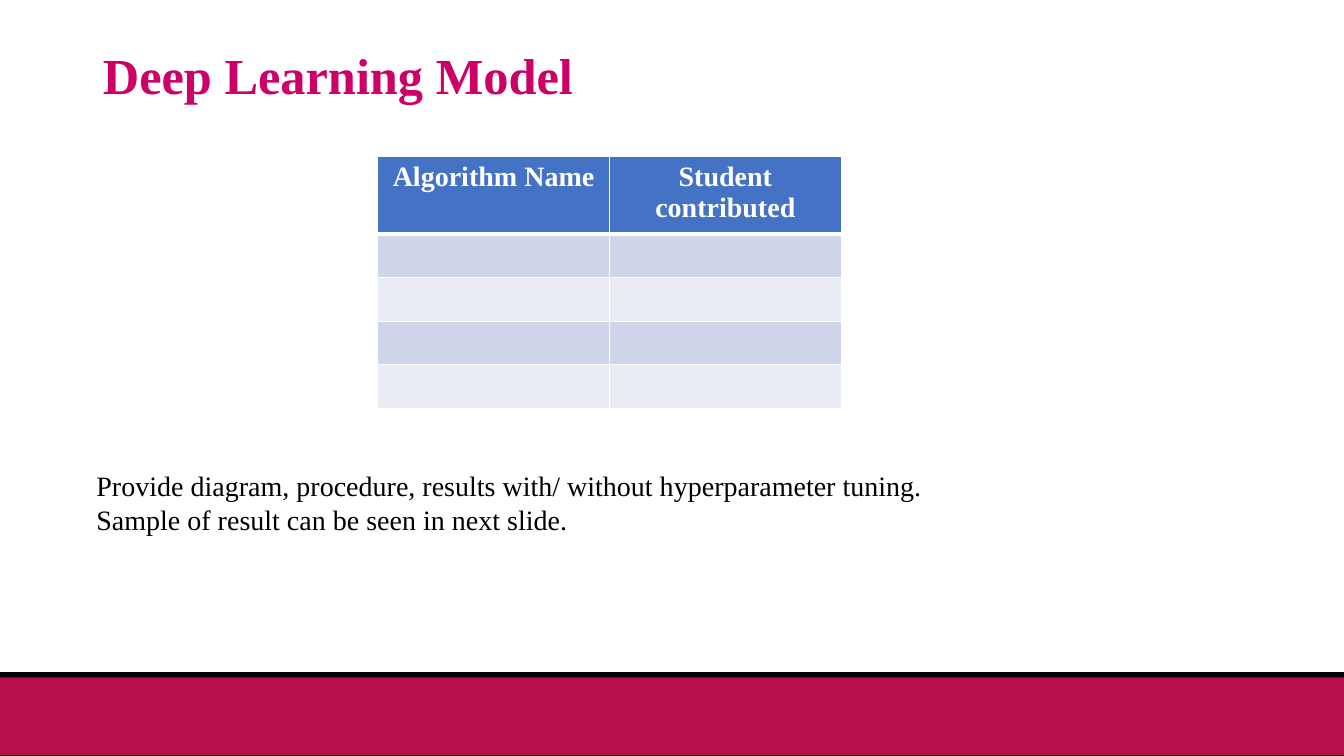
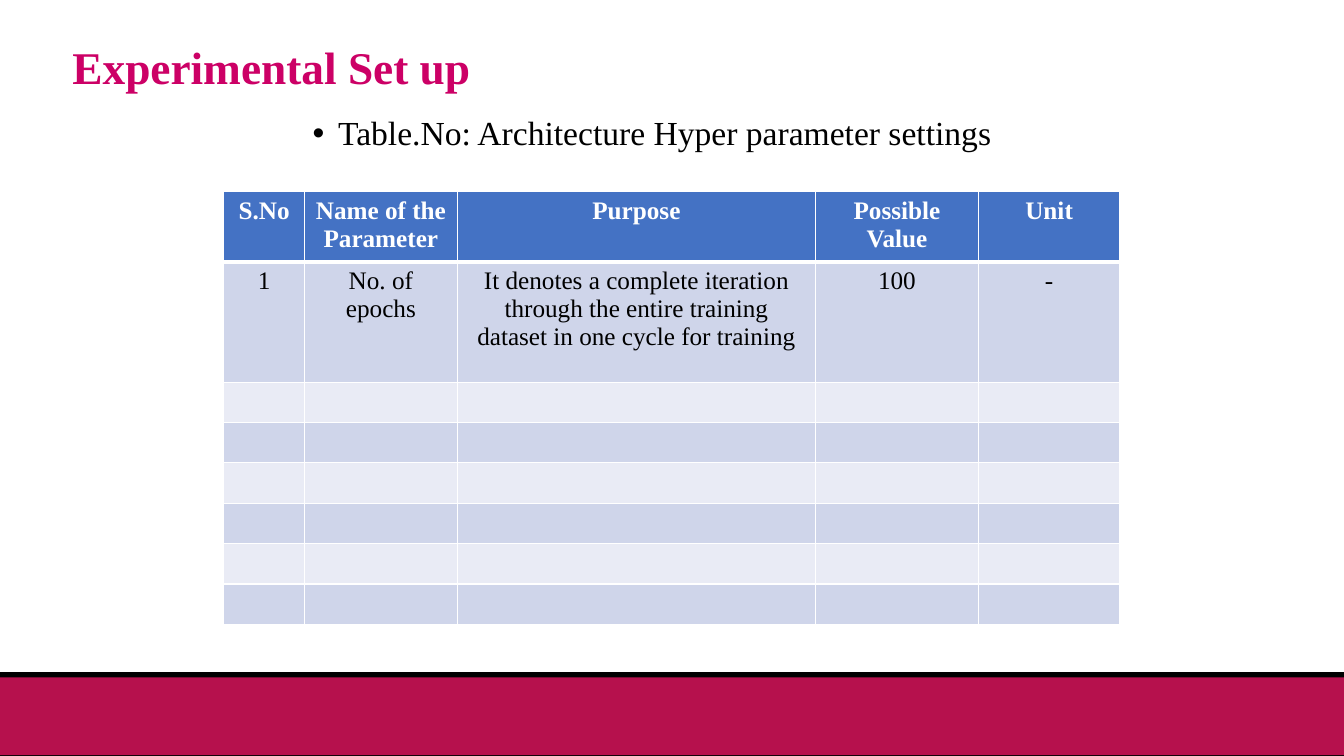
from lxml.etree import SubElement
from pptx import Presentation
from pptx.dml.color import RGBColor
from pptx.enum.shapes import MSO_SHAPE
from pptx.enum.text import MSO_ANCHOR, MSO_AUTO_SIZE, PP_ALIGN
from pptx.oxml.ns import qn
from pptx.util import Cm, Pt

# Shared look
FONT = "Times New Roman"
BLACK = RGBColor(0x00, 0x00, 0x00)
WHITE = RGBColor(0xFF, 0xFF, 0xFF)
MAGENTA = RGBColor(0xCC, 0x00, 0x66)
CRIMSON = RGBColor(0xB6, 0x11, 0x4D)
HEADER_BLUE = RGBColor(0x44, 0x72, 0xC4)
ROW_TINTS = (RGBColor(0xCF, 0xD5, 0xEA), RGBColor(0xE9, 0xEB, 0xF5))
SLIDE_W, SLIDE_H = 33.87, 19.05
FOOTER_BANDS = [(16.94, 2.11, BLACK), (17.07, 1.96, CRIMSON)]  # top, height, colour

# Content; all lengths in cm
SLIDES = [
    {
        "title": ("Deep Learning Model", 36, (2.34, 1.02, 29.21, 1.88)),
        "table": {
            "left": 9.52, "top": 3.94, "size": 20,
            "columns": [("Algorithm Name", 5.84), ("Student contributed", 5.84)],
            "header_height": 1.81,
            "rows": [([], 1.04)] * 4,
        },
        "text": {
            "lines": ["Provide diagram, procedure, results with/ without hyperparameter tuning.",
                      "Sample of result can be seen in next slide."],
            "size": 20, "box": (2.18, 11.68, 22, 1.96), "bullet": False,
        },
    },
    {
        "title": ("Experimental Set up", 32.4, (1.57, 0.97, 29.21, 1.6)),
        "table": {
            "left": 5.64, "top": 4.83, "size": 18,
            "columns": [("S.No", 2.03), ("Name of the Parameter", 3.86), ("Purpose", 9.02),
                        ("Possible Value", 4.11), ("Unit", 3.56)],
            "header_height": 1.66,
            "rows": [(["1", "No. of epochs",
                       "It denotes a complete iteration through the entire training "
                       "dataset in one cycle for training", "100", "-"], 3.02)]
                    + [([], 0.96)] * 6,
        },
        "text": {
            "lines": ["Table.No: Architecture Hyper parameter settings"],
            "size": 24, "box": (1.83, 2.82, 29.21, 1.3), "bullet": True,
        },
    },
]


def format_font(font, size, color, bold=False):
    for name, value in {"name": FONT, "size": Pt(size), "bold": bold}.items():
        setattr(font, name, value)
    font.color.rgb = color


def add_footer(slide):
    for top, height, color in FOOTER_BANDS:
        band = slide.shapes.add_shape(MSO_SHAPE.RECTANGLE, 0, Cm(top), Cm(SLIDE_W), Cm(height))
        band.shadow.inherit = False
        band.fill.solid()
        band.fill.fore_color.rgb = color
        band.line.fill.background()


def set_title(slide, text, size, box):
    title = slide.shapes.title
    for name, value in zip(("left", "top", "width", "height"), box):
        setattr(title, name, Cm(value))
    frame = title.text_frame
    frame.text = text
    frame.auto_size = MSO_AUTO_SIZE.NONE
    frame.vertical_anchor = MSO_ANCHOR.MIDDLE
    paragraph = frame.paragraphs[0]
    paragraph.alignment = PP_ALIGN.LEFT
    paragraph.line_spacing = 0.9
    format_font(paragraph.runs[0].font, size, MAGENTA, bold=True)


def add_text(slide, lines, size, box, bullet):
    frame = slide.shapes.add_textbox(*map(Cm, box)).text_frame
    frame.word_wrap = True
    frame.text = "\n".join(lines)
    for paragraph in frame.paragraphs:
        if bullet:
            paragraph.alignment = PP_ALIGN.CENTER
            paragraph.line_spacing = 0.9
            props = paragraph._p.get_or_add_pPr()
            props.set("marL", str(Cm(0.64)))
            props.set("indent", str(Cm(-0.64)))
            SubElement(props, qn("a:buFont"), typeface="Arial")
            SubElement(props, qn("a:buChar"), char="•")
        format_font(paragraph.runs[0].font, size, BLACK)


def add_borders(cell, widths):
    props = cell._tc.get_or_add_tcPr()
    for side, width in widths.items():
        line = SubElement(props, qn(f"a:ln{side}"), w=str(Pt(width)))
        SubElement(SubElement(line, qn("a:solidFill")), qn("a:srgbClr"), val=str(WHITE))


def fill_cell(cell, text, size, row):
    is_header = row == 0
    add_borders(cell, {"L": 1, "R": 1, "T": 3 if row == 1 else 1, "B": 3 if is_header else 1})
    cell.fill.solid()
    cell.fill.fore_color.rgb = HEADER_BLUE if is_header else ROW_TINTS[(row - 1) % 2]
    paragraph = cell.text_frame.paragraphs[0]
    paragraph.alignment = PP_ALIGN.CENTER
    if text:
        run = paragraph.add_run()
        run.text = text
        format_font(run.font, size, WHITE if is_header else BLACK, bold=is_header)
    else:  # the end mark sets the height of an empty row
        end = SubElement(paragraph._p, qn("a:endParaRPr"), sz=str(size * 100))
        SubElement(end, qn("a:latin"), typeface=FONT)


def add_grid(slide, left, top, size, columns, header_height, rows):
    headings, widths = zip(*columns)
    all_rows = [(headings, header_height)] + rows
    total_height = sum(height for _, height in all_rows)
    table = slide.shapes.add_table(len(all_rows), len(columns), Cm(left), Cm(top),
                                   Cm(sum(widths)), Cm(total_height)).table
    for column, width in zip(table.columns, widths):
        column.width = Cm(width)
    for r, (texts, height) in enumerate(all_rows):
        table.rows[r].height = Cm(height)
        for c in range(len(columns)):
            fill_cell(table.cell(r, c), texts[c] if texts else "", size, r)


def main():
    deck = Presentation()
    deck.slide_width, deck.slide_height = Cm(SLIDE_W), Cm(SLIDE_H)
    title_only = deck.slide_layouts[5]
    for content in SLIDES:
        slide = deck.slides.add_slide(title_only)
        add_footer(slide)
        set_title(slide, *content["title"])
        add_text(slide, **content["text"])
        add_grid(slide, **content["table"])
    deck.save("out.pptx")


if __name__ == "__main__":
    main()
